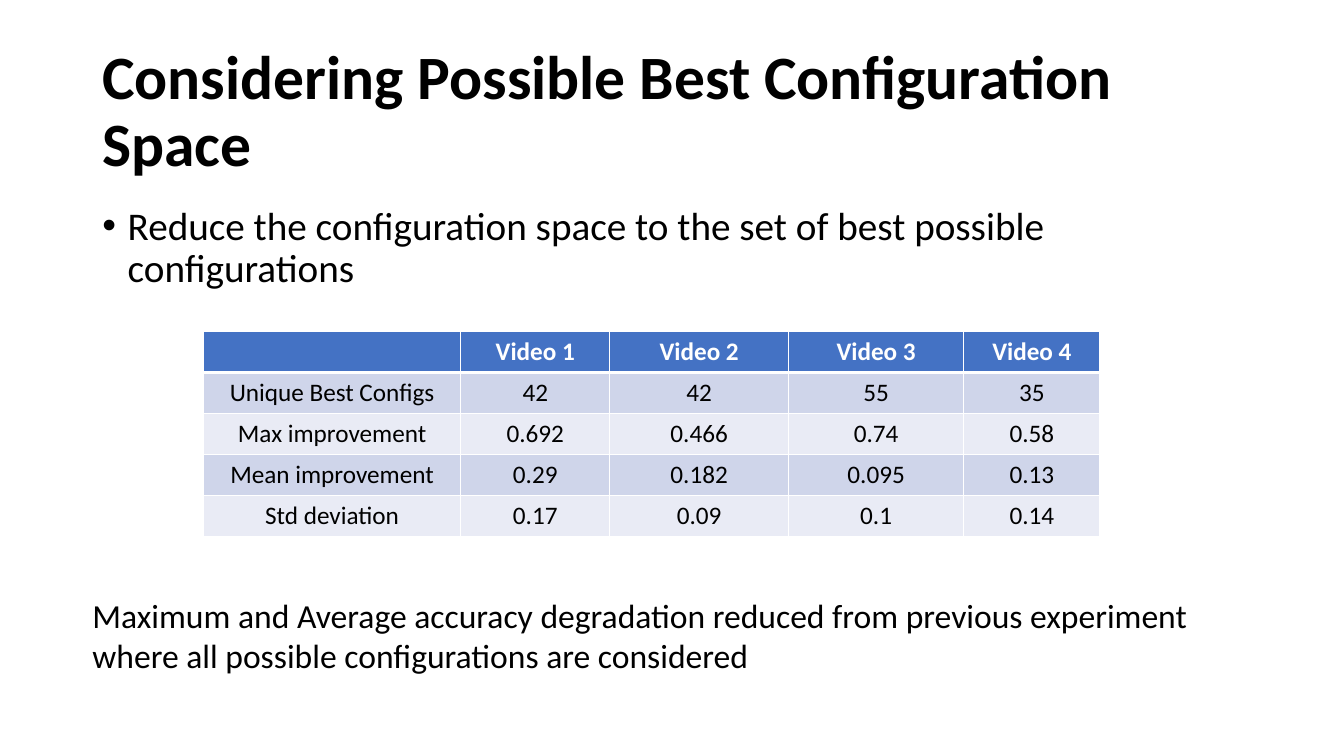
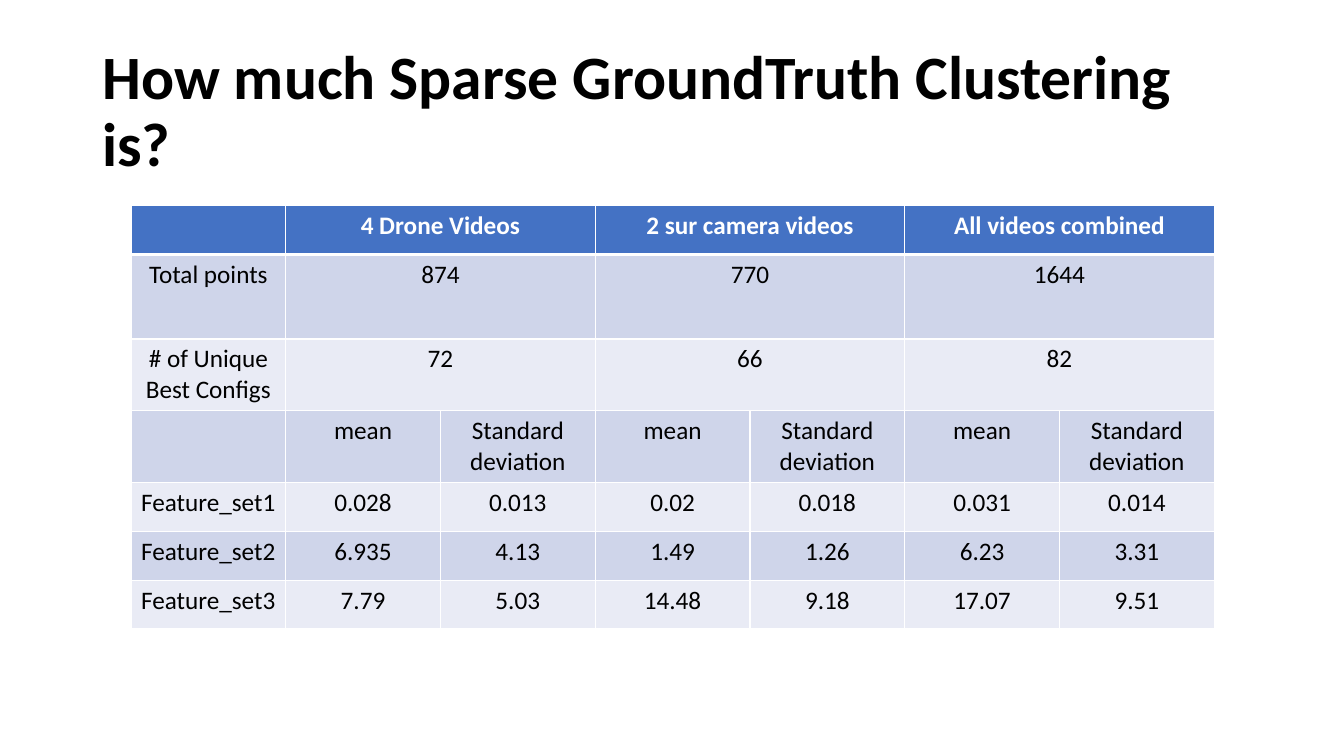
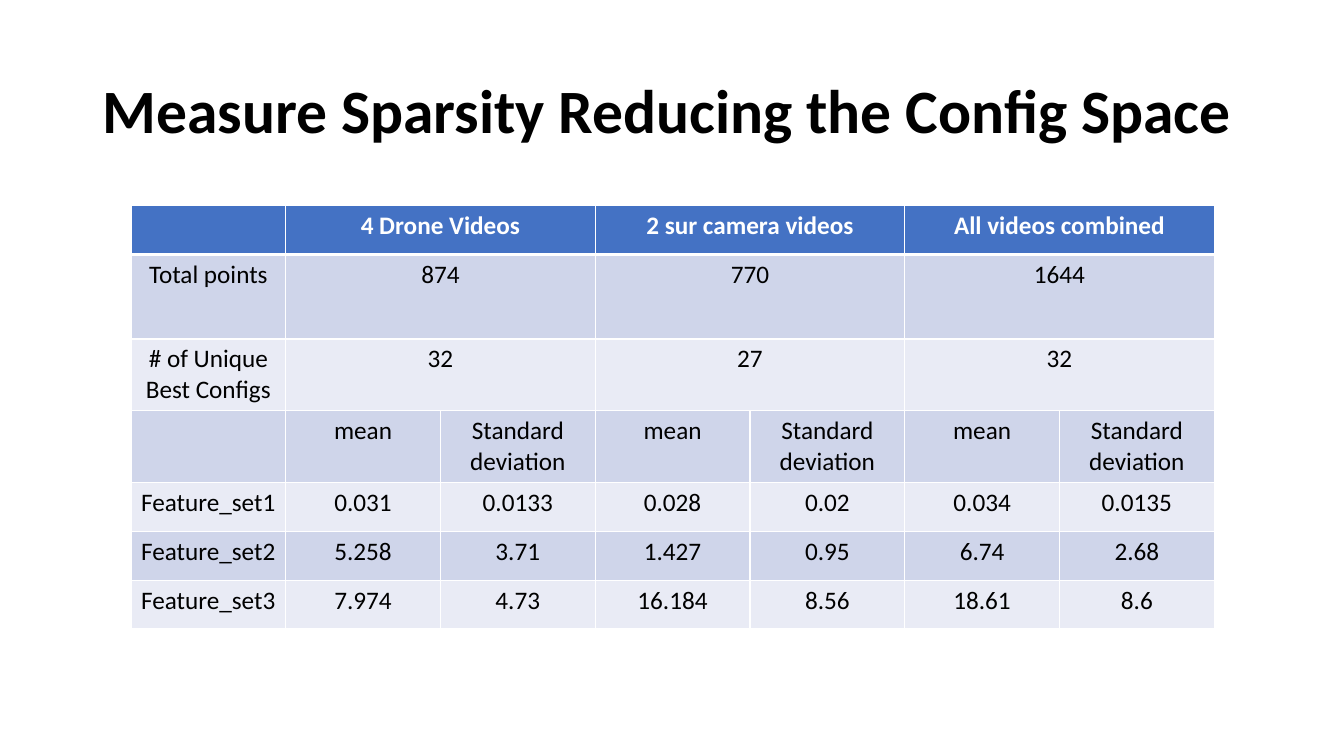
import dataclasses
import typing

import lxml.etree
import pptx
import pptx.dml.color
import pptx.enum.text
import pptx.oxml.ns
import pptx.slide
import pptx.text.text
import pptx.util

Cm = pptx.util.Cm
Align = pptx.enum.text.PP_ALIGN
Anchor = pptx.enum.text.MSO_ANCHOR
Row = tuple[typing.Optional[str], ...]  # None continues the cell to its left


# Shared look
@dataclasses.dataclass(frozen=True)
class Theme:
    font: str = "Calibri"
    ink: str = "000000"
    paper: str = "FFFFFF"
    head: str = "4472C4"
    bands: tuple[str, str] = ("CFD5EA", "E9EBF5")
    title: int = 44
    body: int = 28
    note: int = 24
    cell: int = 18
    rule: int = 1
    thick: int = 3


THEME = Theme()


# Box places are left, top, width, height in cm
@dataclasses.dataclass(frozen=True)
class Box:
    text: str
    place: tuple[float, float, float, float]
    size: int
    bold: bool = False
    bullet: bool = False
    anchor: Anchor = Anchor.TOP
    line: float = 1.0


@dataclasses.dataclass(frozen=True)
class Grid:
    left: float
    top: float
    cols: tuple[float, ...]
    highs: tuple[float, ...]
    rows: tuple[Row, ...]


@dataclasses.dataclass(frozen=True)
class Page:
    title: str
    grid: Grid
    boxes: tuple[Box, ...] = ()


def tint(code: str) -> pptx.dml.color.RGBColor:
    return pptx.dml.color.RGBColor.from_string(code)


def style(par: pptx.text.text._Paragraph, size: int, ink: str, bold: bool) -> None:
    par.font.name = THEME.font
    par.font.size = pptx.util.Pt(size)
    par.font.color.rgb = tint(ink)
    par.font.bold = bold


def add_child(node: lxml.etree._Element, tag: str, **attrs: str) -> lxml.etree._Element:
    return lxml.etree.SubElement(node, pptx.oxml.ns.qn(tag), attrs)


# Text
def draw_box(slide: pptx.slide.Slide, box: Box) -> None:
    frame = slide.shapes.add_textbox(*map(Cm, box.place)).text_frame
    frame.word_wrap = True
    frame.vertical_anchor = box.anchor
    par = frame.paragraphs[0]
    par.text = box.text
    if box.bullet:
        props = par._p.get_or_add_pPr()
        props.set("marL", str(Cm(0.64)))
        props.set("indent", str(-Cm(0.64)))
        add_child(props, "a:buFont", typeface="Arial")
        add_child(props, "a:buChar", char="•")
        par.space_before = pptx.util.Pt(10)
    par.line_spacing = box.line
    style(par, box.size, THEME.ink, box.bold)


# Tables
def add_rules(cell: typing.Any, top: int, base: int) -> None:
    props = cell._tc.get_or_add_tcPr()
    for side, width in zip("LRTB", (THEME.rule, THEME.rule, top, base)):
        rule = add_child(props, f"a:ln{side}", w=str(pptx.util.Pt(width)))
        add_child(add_child(rule, "a:solidFill"), "a:srgbClr", val=THEME.paper)


def draw_grid(slide: pptx.slide.Slide, grid: Grid) -> None:
    table = slide.shapes.add_table(
        len(grid.rows), len(grid.cols), Cm(grid.left), Cm(grid.top),
        Cm(sum(grid.cols)), Cm(sum(grid.highs))).table
    for col, width in zip(table.columns, grid.cols):
        col.width = Cm(width)
    for r, (row, high) in enumerate(zip(grid.rows, grid.highs)):
        table.rows[r].height = Cm(high)
        head = r == 0
        fill = THEME.head if head else THEME.bands[(r - 1) % 2]
        for c, text in enumerate(row):
            cell = table.cell(r, c)
            add_rules(cell, THEME.thick if r == 1 else THEME.rule,
                      THEME.thick if head else THEME.rule)
            cell.fill.solid()
            cell.fill.fore_color.rgb = tint(fill)
            if text is None:
                table.cell(r, c - 1).merge(cell)
                continue
            par = cell.text_frame.paragraphs[0]
            par.text = text
            par.alignment = Align.CENTER
            style(par, THEME.cell, THEME.paper if head else THEME.ink, head)


def draw_page(deck: typing.Any, page: Page) -> None:
    slide = deck.slides.add_slide(deck.slide_layouts[6])
    draw_box(slide, Box(page.title, (2.33, 1.01, 29.21, 3.68), THEME.title,
                        bold=True, anchor=Anchor.MIDDLE, line=0.9))
    for box in page.boxes:
        draw_box(slide, box)
    draw_grid(slide, page.grid)


# Sparsity tables: each group of videos spans a mean and a deviation
def pair_up(label: str, *texts: str) -> Row:
    return (label, *(part for text in texts for part in (text, None)))


def sparse_grid(counts: tuple[str, ...], *feats: Row) -> Grid:
    rows = (
        pair_up("", "4 Drone Videos", "2 sur camera videos", "All videos combined"),
        pair_up("Total points", "874", "770", "1644"),
        pair_up("# of Unique Best Configs", *counts),
        ("", *("mean", "Standard deviation") * 3),
        *((f"Feature_set{n}", *feat) for n, feat in enumerate(feats, 1)),
    )
    highs = (1.23, 2.13, 1.81, 1.81) + (1.23,) * len(feats)
    return Grid(3.3, 5.18, (3.9,) * 7, highs, rows)


# Content
PAGES = (
    Page(
        "Considering Possible Best Configuration Space",
        Grid(5.13, 8.36, (6.48, 3.76, 4.5, 4.42, 3.43), (1.03,) * 5, (
            ("", *(f"Video {n}" for n in range(1, 5))),
            ("Unique Best Configs", "42", "42", "55", "35"),
            ("Max improvement", "0.692", "0.466", "0.74", "0.58"),
            ("Mean improvement", "0.29", "0.182", "0.095", "0.13"),
            ("Std deviation", "0.17", "0.09", "0.1", "0.14"),
        )),
        (
            Box("Reduce the configuration space to the set of best possible "
                "configurations", (2.33, 5.08, 29.21, 12.09), THEME.body,
                bullet=True, line=0.9),
            Box("Maximum and Average accuracy degradation reduced from previous "
                "experiment where all possible configurations are considered",
                (2.08, 14.86, 28.68, 2.31), THEME.note),
        ),
    ),
    Page(
        "How much Sparse GroundTruth Clustering is?",
        sparse_grid(
            ("72", "66", "82"),
            ("0.028", "0.013", "0.02", "0.018", "0.031", "0.014"),
            ("6.935", "4.13", "1.49", "1.26", "6.23", "3.31"),
            ("7.79", "5.03", "14.48", "9.18", "17.07", "9.51"),
        ),
    ),
    Page(
        "Measure Sparsity Reducing the Config Space",
        sparse_grid(
            ("32", "27", "32"),
            ("0.031", "0.0133", "0.028", "0.02", "0.034", "0.0135"),
            ("5.258", "3.71", "1.427", "0.95", "6.74", "2.68"),
            ("7.974", "4.73", "16.184", "8.56", "18.61", "8.6"),
        ),
    ),
)

deck = pptx.Presentation()
deck.slide_width, deck.slide_height = Cm(33.87), Cm(19.05)
for page in PAGES:
    draw_page(deck, page)
deck.save("out.pptx")
